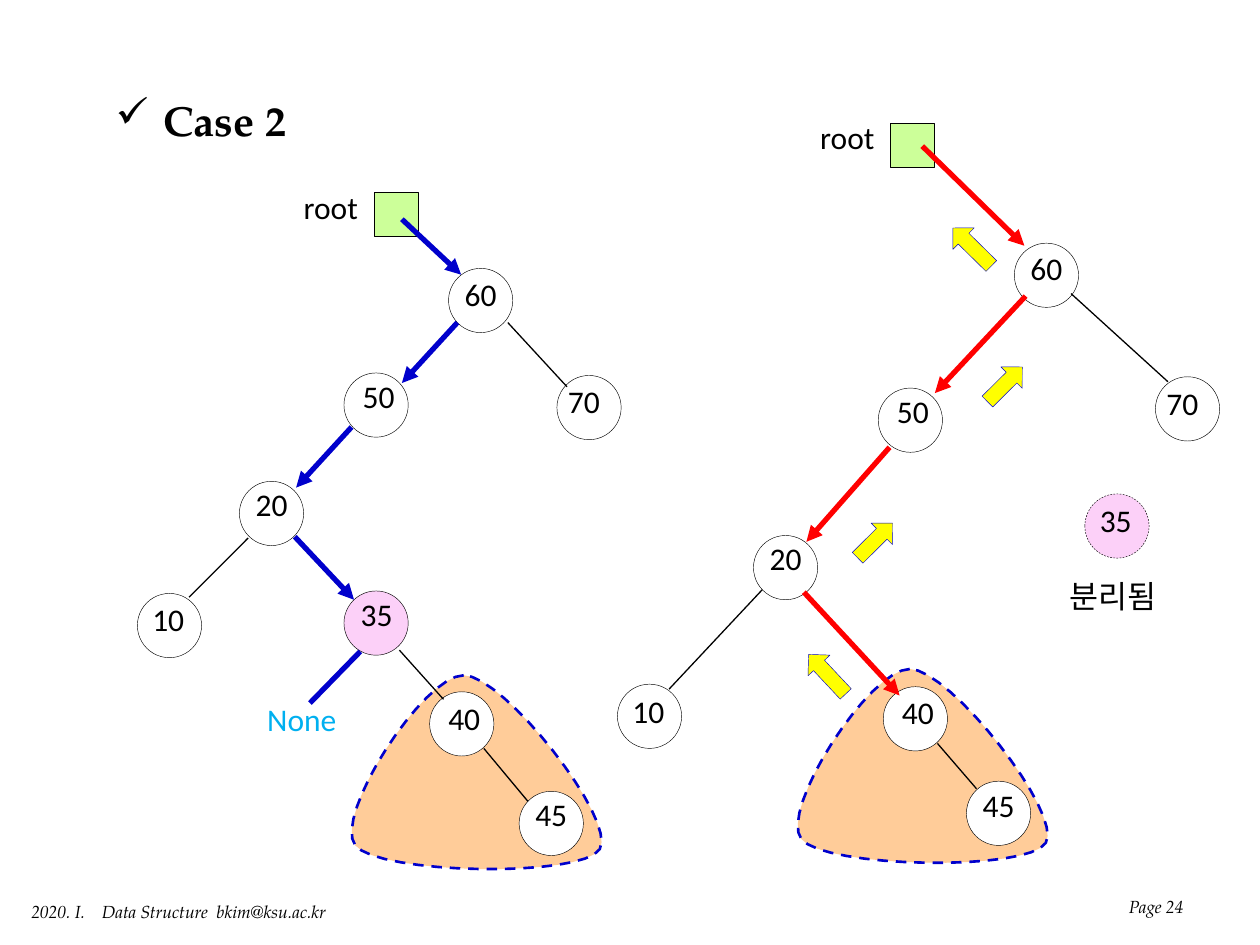
from lxml.etree import SubElement
from pptx import Presentation
from pptx.dml.color import RGBColor
from pptx.enum.dml import MSO_LINE
from pptx.enum.shapes import MSO_CONNECTOR, MSO_SHAPE
from pptx.enum.text import MSO_ANCHOR, PP_ALIGN
from pptx.oxml.ns import qn
from pptx.util import Inches, Pt

BLACK = RGBColor(0x00, 0x00, 0x00)
WHITE = RGBColor(0xFF, 0xFF, 0xFF)
BLUE = RGBColor(0x00, 0x00, 0xCC)
RED = RGBColor(0xFF, 0x00, 0x00)
CYAN = RGBColor(0x00, 0xB0, 0xF0)
PINK = RGBColor(0xFC, 0xD0, 0xF8)
GREEN = RGBColor(0xCC, 0xFF, 0x99)
ORANGE = RGBColor(0xFF, 0xCC, 0x99)
YELLOW = RGBColor(0xFF, 0xFF, 0x00)
SERIF = "TeX Gyre Pagella"
SANS = "Calibri"
NODE_SIZE = 0.51
ROOT_SIZE = 0.35

deck = Presentation()
deck.slide_width, deck.slide_height = Inches(10), Inches(7.5)
page = deck.slides.add_slide(deck.slide_layouts[6])
shapes = page.shapes


def paint(shape, fill, line, width):
    shape.shadow.inherit = False
    shape.fill.solid()
    shape.fill.fore_color.rgb = fill
    shape.line.color.rgb = line
    shape.line.width = Pt(width)


def add_text(text, left, top, width, height=0.4, size=18, font=SANS,
             color=BLACK, align=PP_ALIGN.CENTER):
    box = shapes.add_textbox(Inches(left), Inches(top), Inches(width), Inches(height))
    box.text_frame.word_wrap = True
    para = box.text_frame.paragraphs[0]
    para.text = text
    para.alignment = align
    para.font.size = Pt(size)
    para.font.name = font
    para.font.color.rgb = color
    return box.text_frame


# Orange subtrees: one closed curve, drawn under each tree
subtree_start = (3.68, 5.36)
subtree_curves = [
    ((3.36, 5.36), (2.64, 6.48), (2.82, 6.71)),
    ((3.00, 6.94), (4.62, 6.97), (4.76, 6.74)),
    ((4.90, 6.51), (4.00, 5.36), (3.68, 5.36)),
]
curve_steps = 16
outline = []
start = subtree_start
for first, second, end in subtree_curves:
    for step in range(1, curve_steps + 1):
        t = step / curve_steps
        weights = ((1 - t) ** 3, 3 * t * (1 - t) ** 2, 3 * t ** 2 * (1 - t), t ** 3)
        corners = (start, first, second, end)
        outline.append([sum(w * corner[axis] for w, corner in zip(weights, corners))
                        for axis in (0, 1)])
    start = end
for shift_x, shift_y in [(3.54, -0.05), (0, 0)]:
    points = [(Inches(x + shift_x), Inches(y + shift_y)) for x, y in outline]
    builder = shapes.build_freeform(*points[-1])
    builder.add_line_segments(points[:-1], close=True)
    subtree = builder.convert_to_shape()
    paint(subtree, ORANGE, BLUE, 1.5)
    subtree.line.dash_style = MSO_LINE.DASH

for left, top in [(2.97, 1.53), (7.07, 0.98)]:
    root = shapes.add_shape(MSO_SHAPE.RECTANGLE, Inches(left), Inches(top),
                            Inches(ROOT_SIZE), Inches(ROOT_SIZE))
    paint(root, GREEN, BLACK, 0.5)
    add_text("root", left - 0.74, top - 0.09, 0.79)

# Edges: x1, y1, x2, y2, color, width, arrowhead
plain_edges = [
    (4.03, 2.56, 4.50, 3.07), (1.97, 4.27, 1.50, 4.74), (3.17, 5.16, 3.52, 5.55),
    (3.84, 5.94, 4.19, 6.36), (8.50, 2.33, 9.27, 3.03), (6.05, 4.68, 5.31, 5.47),
    (7.44, 5.90, 7.75, 6.26),
]
search_steps = [
    (3.19, 1.74, 3.66, 2.18), (3.63, 2.56, 3.19, 3.04),
    (2.79, 3.39, 2.35, 3.87), (2.34, 4.26, 2.81, 4.76),
]
return_steps = [
    (7.32, 1.16, 8.13, 1.95), (8.14, 2.35, 7.42, 3.12),
    (7.06, 3.55, 6.40, 4.30), (6.38, 4.70, 7.14, 5.52),
]
edges = [(*ends, BLACK, 0.75, False) for ends in plain_edges]
edges += [(*ends, BLUE, 3, True) for ends in search_steps]
edges += [(2.86, 5.17, 2.46, 5.58, BLUE, 3, False)]
edges += [(*ends, RED, 3, True) for ends in return_steps]

# Nodes: value, left, top, then label left, top and width
nodes = [
    ("60", 3.56, 2.13, 3.50, 2.13, 0.63), ("50", 2.73, 2.96, 2.73, 2.94, 0.55),
    ("70", 4.42, 2.98, 4.41, 2.98, 0.56), ("20", 1.90, 3.82, 1.86, 3.80, 0.59),
    ("10", 1.09, 4.71, 1.04, 4.71, 0.59), ("35", 2.73, 4.69, 2.69, 4.67, 0.60),
    ("40", 3.41, 5.49, 3.37, 5.50, 0.63), ("45", 4.12, 6.28, 4.08, 6.26, 0.59),
    ("60", 8.05, 1.93, 7.99, 1.93, 0.63), ("50", 6.97, 3.08, 6.97, 3.06, 0.55),
    ("70", 9.17, 2.99, 9.16, 3.00, 0.56), ("20", 5.98, 4.25, 5.94, 4.23, 0.59),
    ("10", 4.90, 5.43, 4.85, 5.44, 0.59), ("40", 7.01, 5.45, 6.97, 5.45, 0.63),
    ("45", 7.67, 6.20, 7.63, 6.19, 0.59), ("35", 8.61, 3.92, 8.56, 3.93, 0.59),
]
for value, left, top, label_left, label_top, label_width in nodes:
    node = shapes.add_shape(MSO_SHAPE.OVAL, Inches(left), Inches(top),
                            Inches(NODE_SIZE), Inches(NODE_SIZE))
    paint(node, PINK if value == "35" else WHITE, BLACK, 0.25)
    align = PP_ALIGN.LEFT if value == "70" else PP_ALIGN.CENTER
    add_text(value, label_left, label_top, label_width, align=align)
node.line.dash_style = MSO_LINE.DASH  # the last node is the detached 35

for x1, y1, x2, y2, color, width, has_head in edges:
    edge = shapes.add_connector(MSO_CONNECTOR.STRAIGHT, Inches(x1), Inches(y1),
                                Inches(x2), Inches(y2))
    edge.line.color.rgb = color
    edge.line.width = Pt(width)
    if has_head:
        SubElement(edge.line._get_or_add_ln(), qn("a:tailEnd"), type="triangle")
    SubElement(edge._element.spPr, qn("a:effectLst"))

# Yellow arrows back up to the root
for left, top, width, angle in [(6.75, 4.17, 0.39, 315.2), (7.78, 2.93, 0.39, 315.2),
                                (7.50, 1.84, 0.43, 224.6), (6.35, 5.23, 0.43, 226.8)]:
    arrow = shapes.add_shape(MSO_SHAPE.RIGHT_ARROW, Inches(left), Inches(top),
                             Inches(width), Inches(0.24))
    arrow.rotation = angle
    paint(arrow, YELLOW, BLUE, 0.25)

add_text("None", 1.94, 5.51, 0.91, color=CYAN)
add_text("분리됨", 8.13, 4.53, 1.4)

title = add_text("Case 2", 0.82, 0.7, 1.56, 0.5, 24, SERIF, align=PP_ALIGN.LEFT)
title.word_wrap = False
title.paragraphs[0].font.bold = True
bullet = title.paragraphs[0]._p.get_or_add_pPr()
bullet.set("marL", str(Inches(0.38)))
bullet.set("indent", str(-Inches(0.38)))
bullet.insert(0, bullet.makeelement(qn("a:buChar"), {"char": "✓"}))

footer = add_text("2020. I.\tData Structure\tbkim@ksu.ac.kr", 0.15, 7.1, 2.7, 0.27, 10,
                  SERIF, align=PP_ALIGN.LEFT)
footer.paragraphs[0].font.italic = True
footer_format = footer.paragraphs[0]._p.get_or_add_pPr()
tabs = footer_format.makeelement(qn("a:tabLst"), {})
footer_format.insert(0, tabs)
for position in (0.56, 1.47):
    SubElement(tabs, qn("a:tab"), pos=str(Inches(position)), algn="l")

page_number = add_text("Page 24", 7.67, 6.83, 1.82, 0.5, 10, SERIF, align=PP_ALIGN.RIGHT)
page_number.vertical_anchor = MSO_ANCHOR.BOTTOM
page_number.paragraphs[0].font.italic = True

deck.save("out.pptx")
